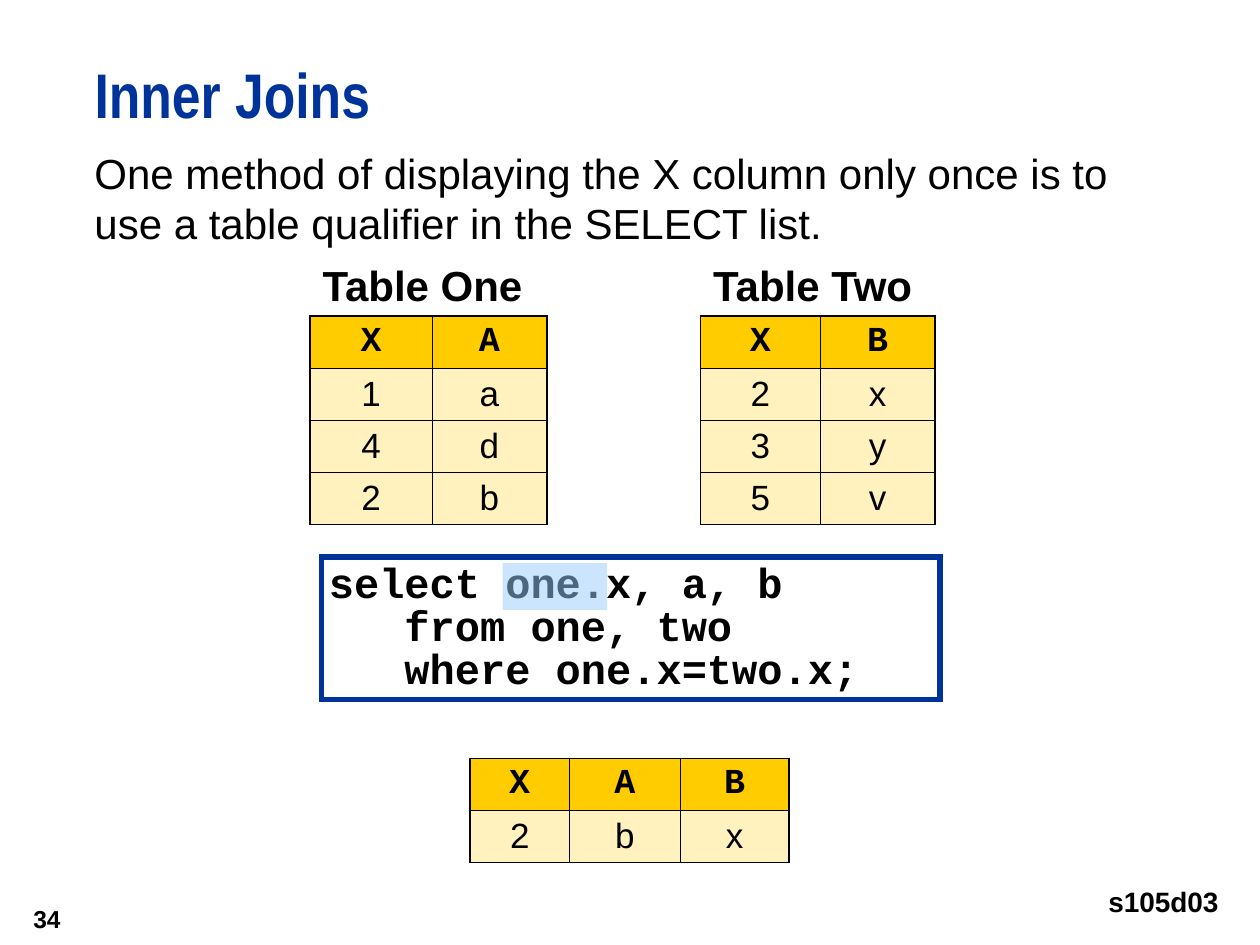
from pptx import Presentation
from pptx.dml.color import RGBColor
from pptx.enum.shapes import MSO_SHAPE
from pptx.enum.text import MSO_ANCHOR, MSO_AUTO_SIZE, PP_ALIGN
from pptx.oxml.ns import qn
from pptx.util import Inches, Pt
from lxml.etree import SubElement

COLORS = {
    "title": "003399", "text": "000000", "paper": "FFFFFF",
    "header": "FFCC00", "cell": "FFF2BE", "marker": "99CCFF",
}
PLAIN_TABLE = "{2D5ABB26-0587-4C30-8999-92F81FD0307C}"
THICK, THIN = 1.08, 0.45
CAPTION_ROWS, DATA_ROWS = 4.7, 4.13
CELL_MARGIN = Inches(0.03)

deck = Presentation()
deck.slide_width, deck.slide_height = Inches(10), Inches(7.5)
COLUMN, ROW = deck.slide_width / 100, deck.slide_height / 75


def place(box):
    """Turn a box in grid columns and rows into slide lengths."""
    left, top, width, height = box
    return [int(left * COLUMN), int(top * ROW), int(width * COLUMN), int(height * ROW)]


def color(name):
    return RGBColor.from_string(COLORS[name])


def format_text(frame, size, font="Arial", bold=False, ink="text",
                align=PP_ALIGN.LEFT, spacing=None):
    for para in frame.paragraphs:
        para.alignment = align
        if spacing:
            para.line_spacing = spacing
        for span in para.runs:
            span.font.name, span.font.size, span.font.bold = font, Pt(size), bold
            span.font.color.rgb = color(ink)


def set_frame(frame, text, inset=0, anchor=MSO_ANCHOR.TOP, wrap=True):
    frame.text = text
    frame.word_wrap = wrap
    frame.vertical_anchor = anchor
    frame.margin_left = frame.margin_right = Inches(inset)
    frame.margin_top = frame.margin_bottom = Inches(inset)


def add_title(page, box, text):
    title = page.shapes.title
    title.left, title.top, title.width, title.height = place(box)
    set_frame(title.text_frame, text)
    format_text(title.text_frame, 36, "Arial Narrow", True, "title", spacing=Pt(39))


def add_label(page, box, text, size, inset=0, anchor=MSO_ANCHOR.TOP, wrap=True, **style):
    frame = page.shapes.add_textbox(*place(box)).text_frame
    set_frame(frame, text, inset, anchor, wrap)
    format_text(frame, size, **style)
    return frame


def set_borders(cell, widths):
    """Draw the left, right, top and bottom borders; a width of 0 hides one."""
    properties = cell._tc.get_or_add_tcPr()
    for side, width in zip("LRTB", widths):
        line = SubElement(properties, qn(f"a:ln{side}"), w=str(Pt(width)))
        if width:
            fill = SubElement(line, qn("a:solidFill"))
            SubElement(fill, qn("a:srgbClr"), val=COLORS["text"])
        else:
            SubElement(line, qn("a:noFill"))


def set_cell(cell, text, size, **style):
    cell.vertical_anchor = MSO_ANCHOR.MIDDLE
    cell.margin_top = cell.margin_bottom = CELL_MARGIN
    cell.text = text
    format_text(cell.text_frame, size, **style)


def add_data_table(page, left, top, widths, caption, records):
    """Place a captioned table; the first record is its header."""
    height = CAPTION_ROWS + DATA_ROWS * len(records)
    box = (left, top, sum(widths), height)
    table = page.shapes.add_table(len(records) + 1, len(widths), *place(box)).table
    table._tbl.tblPr.find(qn("a:tableStyleId")).text = PLAIN_TABLE
    table.first_row = table.horz_banding = False
    for column, width in zip(table.columns, widths):
        column.width = int(width * COLUMN)
    for number, row in enumerate(table.rows):
        row.height = int((DATA_ROWS if number else CAPTION_ROWS) * ROW)

    last_row, last_column = len(records), len(widths) - 1
    for cell in table.rows[0].cells:
        set_borders(cell, (0, 0, 0, THICK))
        cell.fill.background()
    heading = table.cell(0, 0)
    heading.merge(table.cell(0, last_column))
    if caption:
        set_cell(heading, caption, 24, bold=True)

    for r, record in enumerate(records, 1):
        header = r == 1
        for c, value in enumerate(record):
            cell = table.cell(r, c)
            edges = (c == 0, c == last_column, header, r == last_row)
            set_borders(cell, [THICK if edge else THIN for edge in edges])
            cell.fill.solid()
            cell.fill.fore_color.rgb = color("header" if header else "cell")
            set_cell(cell, value, 20, font="Courier New" if header else "Arial",
                     bold=header, align=PP_ALIGN.CENTER)


def add_rectangle(page, box, fill):
    shape = page.shapes.add_shape(MSO_SHAPE.RECTANGLE, *place(box))
    shape.shadow.inherit = False
    shape.fill.solid()
    shape.fill.fore_color.rgb = color(fill)
    shape.line.fill.background()
    return shape


def add_code(page, box, lines):
    panel = add_rectangle(page, box, "paper")
    panel.line.color.rgb = color("title")
    panel.line.width = Pt(3)
    SubElement(panel._element.spPr.find(qn("a:ln")), qn("a:miter"), lim="800000")
    set_frame(panel.text_frame, "\n".join(lines), 0.06)
    format_text(panel.text_frame, 24, "Courier New", True, spacing=0.85)


def add_marker(page, box):
    """Lay a half-transparent highlight over part of the code."""
    marker = add_rectangle(page, box, "marker")
    tint = marker._element.spPr.find(qn("a:solidFill"))[0]
    SubElement(tint, qn("a:alpha"), val="50000")


def add_join_slide():
    page = deck.slides.add_slide(deck.slide_layouts[5])
    add_title(page, (7.5, 5, 92.5, 7.5), "Inner Joins")
    add_label(page, (7.5, 11.7, 86.3, 9),
              "One method of displaying the X column only once is to use a table "
              "qualifier in the SELECT list.", 24)
    add_data_table(page, 37.3, 55.5, (7.9, 8.8, 8.6), "", ("XAB", "2bx"))
    add_data_table(page, 24.6, 20.4, (9.7, 9.1), "Table One", ("XA", "1a", "4d", "2b"))
    add_data_table(page, 55.6, 20.4, (9.5, 9.1), "Table Two", ("XB", "2x", "3y", "5v"))
    add_code(page, (25.5, 44.2, 49.1, 11.3),
             ("select one.x, a, b", "   from one, two", "   where one.x=two.x;"))
    add_marker(page, (39.9, 44.7, 8.3, 3.7))
    footer = {"inset": 0.1, "wrap": False, "bold": True, "align": PP_ALIGN.RIGHT}
    add_label(page, (0, 70.8, 5.8, 4.2), "34", 14, anchor=MSO_ANCHOR.MIDDLE, **footer)
    program = add_label(page, (86.7, 69.2, 11, 4.6), "s105d03", 16, **footer)
    program.auto_size = MSO_AUTO_SIZE.SHAPE_TO_FIT_TEXT


add_join_slide()
deck.save("out.pptx")
